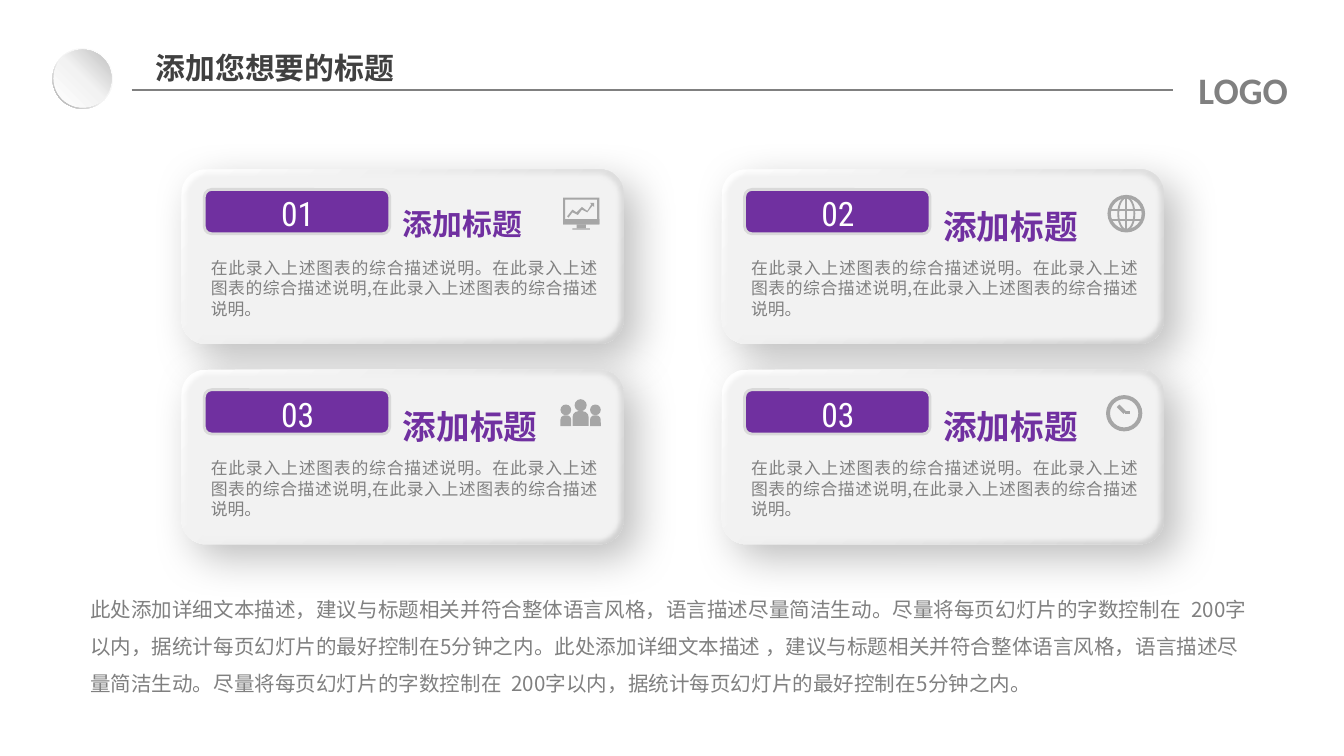
from lxml.etree import SubElement
from pptx import Presentation
from pptx.dml.color import RGBColor
from pptx.enum.shapes import MSO_CONNECTOR, MSO_SHAPE
from pptx.enum.text import MSO_ANCHOR, MSO_AUTO_SIZE, PP_ALIGN
from pptx.oxml.ns import qn
from pptx.util import Inches, Pt

WHITE = RGBColor(0xFF, 0xFF, 0xFF)
PALE = RGBColor(0xF2, 0xF2, 0xF2)
BORDER = RGBColor(0xD9, 0xD9, 0xD9)
LIGHT = RGBColor(0xD1, 0xD1, 0xD1)
SILVER = RGBColor(0xBF, 0xBF, 0xBF)
ICON_GRAY = RGBColor(0xA6, 0xA6, 0xA6)
GRAY = RGBColor(0x80, 0x80, 0x80)
DARK = RGBColor(0x40, 0x40, 0x40)
PURPLE = RGBColor(0x70, 0x30, 0xA0)

CJK = "Noto Sans CJK SC"
NUMBER_FONT = "Roboto Condensed"
CARD_TEXT = "在此录入上述图表的综合描述说明。在此录入上述图表的综合描述说明,在此录入上述图表的综合描述说明。"
SUMMARY = (
    "此处添加详细文本描述，建议与标题相关并符合整体语言风格，语言描述尽量简洁生动。"
    "尽量将每页幻灯片的字数控制在  200字以内，据统计每页幻灯片的最好控制在5分钟之内。"
    "此处添加详细文本描述 ，建议与标题相关并符合整体语言风格，语言描述尽量简洁生动。"
    "尽量将每页幻灯片的字数控制在  200字以内，据统计每页幻灯片的最好控制在5分钟之内。"
)
TREND = [
    (4.42, 1.51), (4.39, 1.51), (4.4, 1.52), (4.37, 1.57), (4.33, 1.54), (4.29, 1.58),
    (4.26, 1.56), (4.22, 1.61), (4.23, 1.62), (4.26, 1.58), (4.3, 1.6), (4.33, 1.56),
    (4.37, 1.58), (4.41, 1.53), (4.42, 1.54),
]


def write_text(shape, text, size, color, font=CJK, bold=False, align=PP_ALIGN.LEFT):
    """Fill a shape with one formatted paragraph and return the paragraph."""
    frame = shape.text_frame
    frame.text = text
    frame.word_wrap = True
    frame.auto_size = MSO_AUTO_SIZE.SHAPE_TO_FIT_TEXT
    frame.vertical_anchor = MSO_ANCHOR.TOP
    paragraph = frame.paragraphs[0]
    paragraph.alignment = align
    run = paragraph.runs[0]
    run.font.size = Pt(size)
    run.font.bold = bold
    run.font.color.rgb = color
    run.font.name = font
    SubElement(run.font._element, qn("a:ea"), typeface=font)
    return paragraph


def add_text(slide, box, text, size, color, **style):
    """Add a text box and return its paragraph."""
    shape = slide.shapes.add_textbox(*map(Inches, box))
    return write_text(shape, text, size, color, **style)


def add_shape(slide, kind, box, fill=None, line=None, width=1, adjust=None):
    """Add a preset shape with a plain fill and outline."""
    shape = slide.shapes.add_shape(kind, *map(Inches, box))
    if adjust is not None:
        shape.adjustments[0] = adjust
    if fill is None:
        shape.fill.background()
    else:
        shape.fill.solid()
        shape.fill.fore_color.rgb = fill
    if line is None:
        shape.line.fill.background()
    else:
        shape.line.color.rgb = line
        shape.line.width = Pt(width)
    shape.shadow.inherit = False
    return shape


def set_gradient(shape, stops, angle):
    """Give a shape a linear gradient of (percent, colour) stops."""
    shape.fill.gradient()
    gradient = shape._element.spPr.find(qn("a:gradFill"))
    for child in list(gradient):
        gradient.remove(child)
    stop_list = SubElement(gradient, qn("a:gsLst"))
    for percent, color in stops:
        stop = SubElement(stop_list, qn("a:gs"), pos=str(percent * 1000))
        SubElement(stop, qn("a:srgbClr"), val=str(color))
    SubElement(gradient, qn("a:lin"), ang=str(angle * 60000), scaled="0")


def add_effect(shape, name, **values):
    """Add an effect to a shape and return its element."""
    effects = shape._element.spPr.find(qn("a:effectLst"))
    return SubElement(effects, qn(name), **values)


def add_line(slide, start, end, color, width):
    """Add a straight line without a shadow."""
    line = slide.shapes.add_connector(MSO_CONNECTOR.STRAIGHT, *map(Inches, (*start, *end)))
    line.line.color.rgb = color
    line.line.width = Pt(width)
    SubElement(line._element.spPr, qn("a:effectLst"))


def add_monitor(slide):
    """Draw a monitor that shows a rising trend."""
    add_shape(slide, MSO_SHAPE.FRAME, (4.19, 1.47, 0.27, 0.2), ICON_GRAY, adjust=0.08)
    for box in ((4.19, 1.63, 0.27, 0.04), (4.29, 1.67, 0.07, 0.03), (4.26, 1.7, 0.13, 0.01)):
        add_shape(slide, MSO_SHAPE.RECTANGLE, box, ICON_GRAY)
    points = [(Inches(x), Inches(y)) for x, y in TREND]
    builder = slide.shapes.build_freeform(*points[0])
    builder.add_line_segments(points[1:], close=True)
    trend = builder.convert_to_shape()
    trend.fill.solid()
    trend.fill.fore_color.rgb = ICON_GRAY
    trend.line.fill.background()
    trend.shadow.inherit = False


def add_globe(slide):
    """Draw a globe with meridians and parallels."""
    add_shape(slide, MSO_SHAPE.DONUT, (8.24, 1.45, 0.28, 0.28), ICON_GRAY, adjust=0.09)
    add_shape(slide, MSO_SHAPE.OVAL, (8.32, 1.47, 0.12, 0.24), line=ICON_GRAY)
    add_line(slide, (8.38, 1.46), (8.38, 1.72), ICON_GRAY, 1)
    for y in (1.56, 1.64):
        add_line(slide, (8.26, y), (8.5, y), ICON_GRAY, 1)


def add_people(slide):
    """Draw a group of three people."""
    people = [(4.21, 3.01, 0.08, 0.08), (4.43, 3.01, 0.08, 0.08), (4.32, 2.97, 0.09, 0.12)]
    for center, top, head, body in people:
        add_shape(slide, MSO_SHAPE.OVAL, (center - head / 2, top, head, head), ICON_GRAY)
        neck = top + head
        box = (center - body / 2, neck, body, 3.17 - neck)
        add_shape(slide, MSO_SHAPE.ROUND_2_SAME_RECTANGLE, box, ICON_GRAY, adjust=0.4)


def add_clock(slide):
    """Draw a clock face with two hands."""
    add_shape(slide, MSO_SHAPE.DONUT, (8.23, 2.94, 0.27, 0.27), ICON_GRAY, adjust=0.11)
    for tip in ((8.32, 3.02), (8.41, 3.07)):
        add_line(slide, (8.37, 3.07), tip, ICON_GRAY, 2)


def add_card(slide, left, top, number, heading_size, add_icon):
    """Add a raised card with number, icon, heading and description."""
    box = (left, top, 3.29, 1.3)
    base = add_shape(slide, MSO_SHAPE.ROUNDED_RECTANGLE, box, WHITE, adjust=0.14)
    set_gradient(base, [(0, WHITE), (100, LIGHT)], 45)
    shadow = add_effect(
        base, "a:outerShdw", blurRad=str(Pt(23)), dist=str(Pt(10)),
        dir="2700000", algn="tl", rotWithShape="0",
    )
    color = SubElement(shadow, qn("a:srgbClr"), val="000000")
    SubElement(color, qn("a:alpha"), val="25000")
    face = add_shape(slide, MSO_SHAPE.ROUNDED_RECTANGLE, box, PALE, adjust=0.14)
    add_effect(face, "a:softEdge", rad=str(Pt(2.5)))
    label = (left + 0.17, top + 0.15, 1.38, 0.33)
    add_shape(slide, MSO_SHAPE.ROUNDED_RECTANGLE, label, PURPLE, BORDER, 1.5)
    add_text(slide, (left + 0.24, top + 0.13, 1.25, 0.4), number, 18, WHITE,
             font=NUMBER_FONT, align=PP_ALIGN.CENTER)
    add_icon(slide)
    add_text(slide, (left + 1.55, top + 0.22, 1.32, 0.4), "添加标题", heading_size, PURPLE, bold=True)
    add_text(slide, (left + 0.12, top + 0.61, 3.07, 0.71), CARD_TEXT, 9, GRAY, align=PP_ALIGN.JUSTIFY)


def add_header(slide):
    """Add the round marker, title, rule and logo text."""
    ring = add_shape(slide, MSO_SHAPE.DONUT, (0.39, 0.36, 0.45, 0.45), adjust=0.05)
    set_gradient(ring, [(0, WHITE), (55, PALE), (100, ICON_GRAY)], 135)
    disc = add_shape(slide, MSO_SHAPE.OVAL, (0.4, 0.37, 0.43, 0.43))
    set_gradient(disc, [(0, WHITE), (51, PALE), (100, SILVER)], 315)
    add_line(slide, (0.98, 0.67), (8.73, 0.67), GRAY, 1.25)
    add_text(slide, (8.62, 0.45, 1.26, 0.44), "LOGO", 20, GRAY,
             font="Calibri", bold=True, align=PP_ALIGN.CENTER)
    title = slide.shapes.title
    title.left, title.top, title.width, title.height = map(Inches, (1.06, 0.32, 3.07, 0.37))
    write_text(title, "添加您想要的标题", 16, DARK, bold=True)


def main():
    """Build and save the presentation."""
    presentation = Presentation()
    presentation.slide_width = Inches(10)
    presentation.slide_height = Inches(10) * 9 // 16
    slide = presentation.slides.add_slide(presentation.slide_layouts[5])
    add_header(slide)
    cards = [("01", 16, add_monitor), ("02", 18, add_globe), ("03", 18, add_people), ("03", 18, add_clock)]
    for index, card in enumerate(cards):
        row, column = divmod(index, 2)
        add_card(slide, 1.35 + 4.02 * column, 1.26 + 1.49 * row, *card)
    paragraph = add_text(slide, (0.6, 4.31, 8.79, 0.91), SUMMARY, 11, GRAY)
    paragraph.line_spacing = 1.5
    frame = slide.shapes[-1].text_frame
    frame.margin_left = frame.margin_right = Inches(0.07)
    frame.margin_top = frame.margin_bottom = Inches(0.04)
    presentation.save("out.pptx")


if __name__ == "__main__":
    main()
